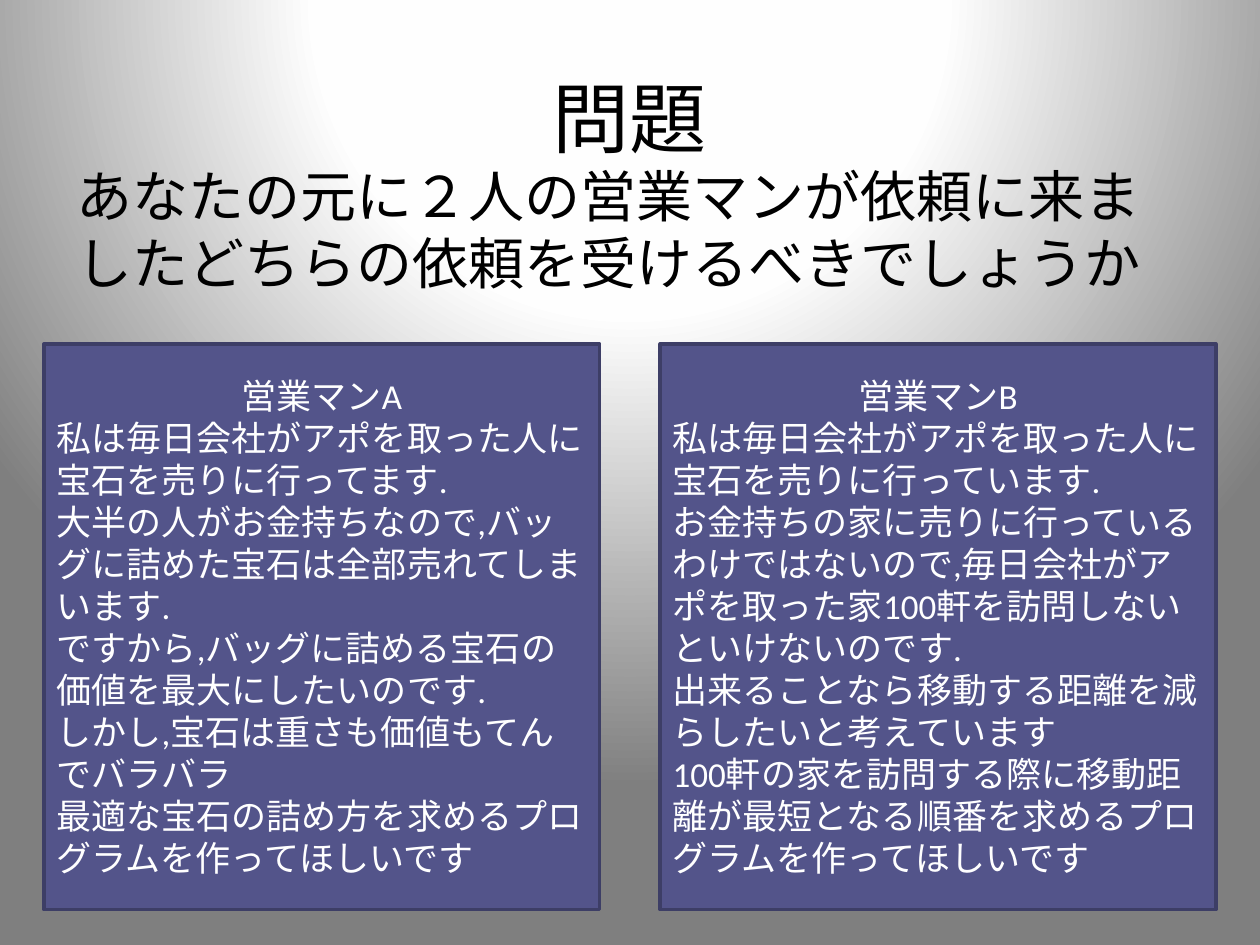
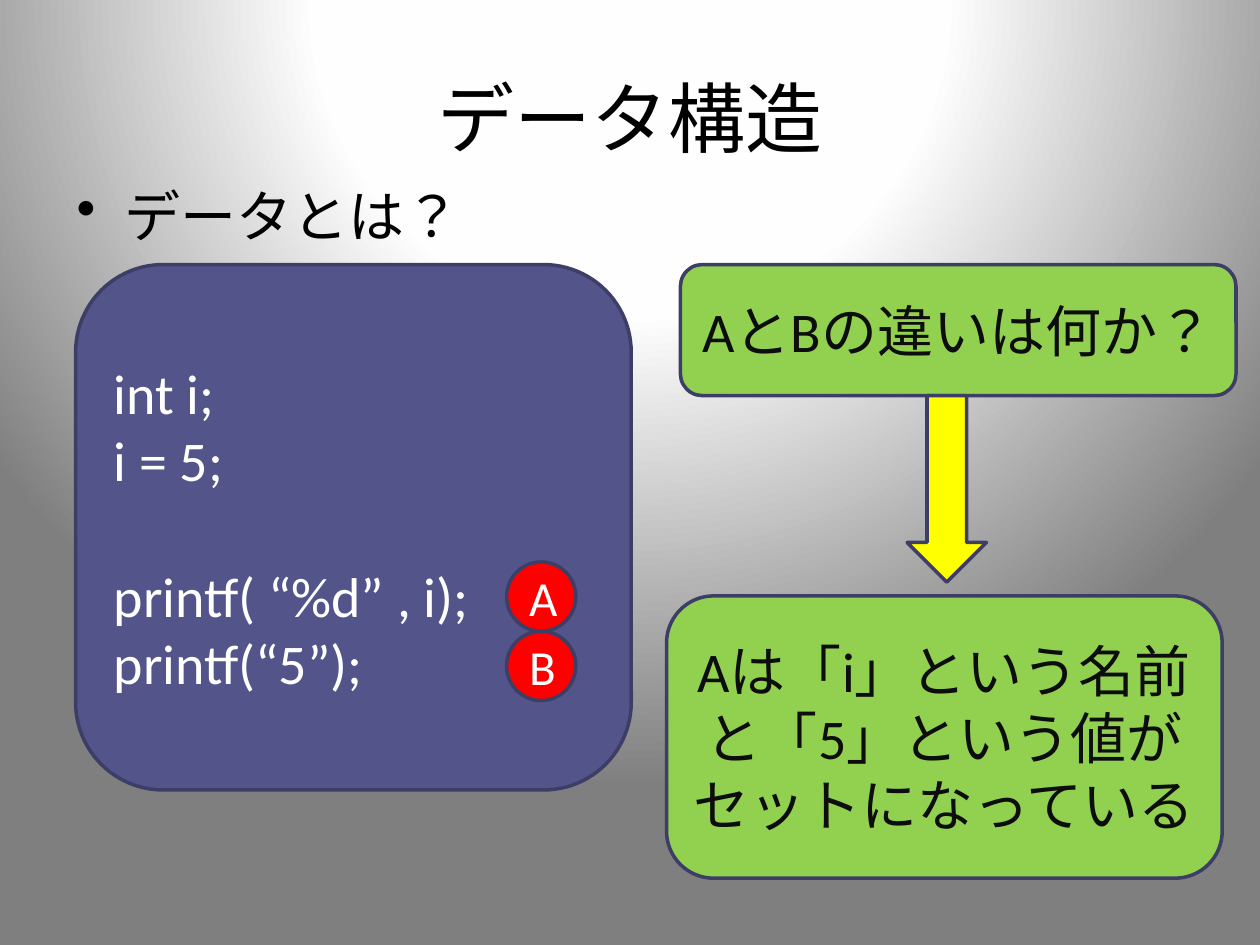
import pptx
import pptx.util
import pptx.dml.color
import pptx.enum.lang
import pptx.enum.shapes
import pptx.enum.text
import pptx.oxml
import pptx.oxml.ns
from pptx.util import Inches

COLORS = {
    "text": "000000",
    "answer_text": "0D0D0D",
    "light_text": "FFFFFF",
    "panel": "53548A",
    "outline": "3D3E66",
    "answer": "92D050",
    "marker": "FF0000",
    "arrow": "FFFF00",
}
BACKGROUND_STOPS = [(0, "FFFFFF"), (40, "FEFEFE"), (100, "7F7F7F")]
FONT = "Calibri"
SHAPES = pptx.enum.shapes.MSO_SHAPE
ALIGN = pptx.enum.text.PP_ALIGN
ANCHOR = pptx.enum.text.MSO_ANCHOR
PANEL_WIDTH = 4.41
MARKER_SIZE = 0.55

SALESMAN_A = [
    "私は毎日会社がアポを取った人に宝石を売りに行ってます.",
    "大半の人がお金持ちなので,バッグに詰めた宝石は全部売れてしまいます.",
    "ですから,バッグに詰める宝石の価値を最大にしたいのです.",
    "しかし,宝石は重さも価値もてんでバラバラ",
    "最適な宝石の詰め方を求めるプログラムを作ってほしいです",
]
SALESMAN_B = [
    "私は毎日会社がアポを取った人に宝石を売りに行っています.",
    "お金持ちの家に売りに行っているわけではないので,毎日会社がアポを取った家100軒を訪問しないといけないのです.",
    "出来ることなら移動する距離を減らしたいと考えています",
    "100軒の家を訪問する際に移動距離が最短となる順番を求めるプログラムを作ってほしいです",
]


def rgb(name):
    return pptx.dml.color.RGBColor.from_string(COLORS[name])


def write_text(shape, lines, size=32, color="text", align=ALIGN.LEFT,
               anchor=ANCHOR.MIDDLE, bullet=False):
    frame = shape.text_frame
    frame.word_wrap = True
    frame.vertical_anchor = anchor
    frame.text = "\n".join(lines)
    for paragraph in frame.paragraphs:
        paragraph.alignment = align
        if bullet:
            properties = paragraph._p.get_or_add_pPr()
            properties.set("marL", str(Inches(0.38)))
            properties.set("indent", str(Inches(-0.38)))
            mark = pptx.oxml.parse_xml(
                f'<a:buChar {pptx.oxml.ns.nsdecls("a")} char="•"/>')
            properties.append(mark)
        for run in paragraph.runs:
            run.font.size = pptx.util.Pt(size)
            run.font.name = FONT
            run.font.color.rgb = rgb(color)
            run.font.language_id = pptx.enum.lang.MSO_LANGUAGE_ID.JAPANESE
    return frame.paragraphs


def add_text(slide, box, lines, **text_format):
    textbox = slide.shapes.add_textbox(*map(Inches, box))
    write_text(textbox, lines, **text_format)


def add_block(slide, kind, box, fill):
    shape = slide.shapes.add_shape(kind, *map(Inches, box))
    shape.shadow.inherit = False
    shape.fill.solid()
    shape.fill.fore_color.rgb = rgb(fill)
    shape.line.color.rgb = rgb("outline")
    shape.line.width = pptx.util.Pt(2)
    return shape


def set_background(slide):
    stops = "".join(
        f'<a:gs pos="{position * 1000}"><a:srgbClr val="{color}"/></a:gs>'
        for position, color in BACKGROUND_STOPS)
    background = pptx.oxml.parse_xml(
        f'<p:bg {pptx.oxml.ns.nsdecls("p", "a")}><p:bgPr>'
        f'<a:gradFill rotWithShape="1"><a:gsLst>{stops}</a:gsLst>'
        '<a:path path="circle"><a:fillToRect l="50000" t="-80000" '
        'r="50000" b="180000"/></a:path></a:gradFill>'
        '<a:effectLst/></p:bgPr></p:bg>')
    slide._element.cSld.insert(0, background)


def add_titled_slide(presentation, title):
    slide = presentation.slides.add_slide(presentation.slide_layouts[6])
    set_background(slide)
    add_text(slide, (0.5, 0.3, 9, 1.25), [title], size=44, align=ALIGN.CENTER)
    return slide


def add_salesman(slide, box, name, request):
    panel = add_block(slide, SHAPES.RECTANGLE, box, "panel")
    paragraphs = write_text(panel, [name, *request], size=20, color="light_text")
    paragraphs[0].alignment = ALIGN.CENTER


def add_code_panel(slide, box):
    left, top, width, height = box
    panel = add_block(slide, SHAPES.ROUNDED_RECTANGLE, box, "panel")
    code = ["int i;", "i = 5;", "printf( “%d” , i);", "printf(“5”);"]
    paragraphs = write_text(panel, code, color="light_text")
    paragraphs[2].space_before = pptx.util.Pt(39)
    for row, label in enumerate("AB"):
        marker_box = (left + 3.42, top + 2.36 + row * MARKER_SIZE,
                      MARKER_SIZE, MARKER_SIZE)
        marker = add_block(slide, SHAPES.OVAL, marker_box, "marker")
        write_text(marker, [label], size=28, color="light_text", align=ALIGN.CENTER)


def add_question_and_answer(slide, box):
    left, top, width, height = box
    question_height, arrow_height, answer_height = 1.04, 1.48, 2.24
    cards = [
        ((left + 0.11, top, PANEL_WIDTH, question_height),
         ["AとBの違いは何か？"]),
        ((left, top + height - answer_height, PANEL_WIDTH, answer_height),
         ["Aは「i」という名前と「5」という値が", "セットになっている"]),
    ]
    for card_box, lines in cards:
        card = add_block(slide, SHAPES.ROUNDED_RECTANGLE, card_box, "answer")
        write_text(card, lines, color="answer_text", align=ALIGN.CENTER)
    arrow_box = (left + 1.91, top + question_height, 0.63, arrow_height)
    add_block(slide, SHAPES.DOWN_ARROW, arrow_box, "arrow")


def build_problem_slide(presentation):
    slide = add_titled_slide(presentation, "問題")
    add_text(slide, (0.51, 1.23, 9, 1.21),
             ["あなたの元に２人の営業マンが依頼に来ましたどちらの依頼を受けるべきでしょうか"],
             anchor=ANCHOR.TOP)
    add_salesman(slide, (0.35, 2.73, PANEL_WIDTH, 4.49), "営業マンA", SALESMAN_A)
    add_salesman(slide, (5.24, 2.73, PANEL_WIDTH, 4.49), "営業マンB", SALESMAN_B)


def build_data_slide(presentation):
    slide = add_titled_slide(presentation, "データ構造")
    add_text(slide, (0.51, 1.39, 9, 0.66), ["データとは？"],
             anchor=ANCHOR.TOP, bullet=True)
    add_code_panel(slide, (0.6, 2.1, PANEL_WIDTH, 4.17))
    add_question_and_answer(slide, (5.29, 2.1, 4.52, 4.87))


def main():
    presentation = pptx.Presentation()
    presentation.slide_width = Inches(10)
    presentation.slide_height = Inches(7.5)
    build_problem_slide(presentation)
    build_data_slide(presentation)
    presentation.save("out.pptx")


if __name__ == "__main__":
    main()
